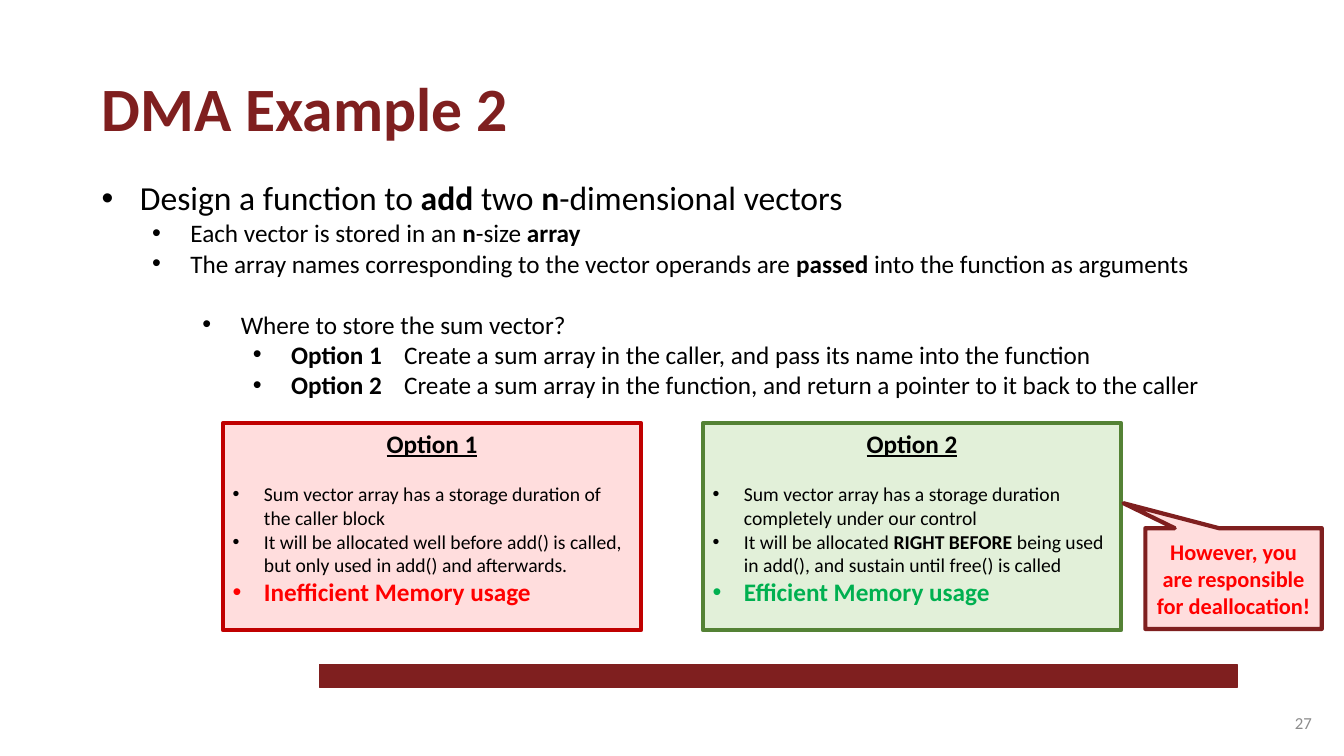
from lxml.etree import SubElement
from pptx import Presentation
from pptx.dml.color import RGBColor
from pptx.enum.shapes import MSO_SHAPE
from pptx.enum.text import MSO_ANCHOR, PP_ALIGN
from pptx.oxml.ns import qn
from pptx.util import Inches, Pt

MAROON, PINK, RED, BLACK = "7F1F1F", "FFDDDD", "FF0000", "000000"
OPTION_WIDTH, OPTION_GAP = 4.15, 0.61


def color(value):
    return RGBColor.from_string(value)


def add_text(para, text, size, ink=BLACK, bold=False, underline=False):
    """Write text into a paragraph; parts between ** marks are bold."""
    para.line_spacing = 1.0
    for index, part in enumerate(text.split("**")):
        if part:
            span = para.add_run()
            span.text = part
            span.font.name = "Calibri"
            span.font.size = Pt(size)
            span.font.bold = bold or index % 2 == 1
            span.font.underline = underline
            span.font.color.rgb = color(ink)


def add_bullet(para, margin, hang):
    properties = para._p.get_or_add_pPr()
    properties.set("marL", str(Inches(margin)))
    properties.set("indent", str(-Inches(hang)))
    SubElement(properties, qn("a:buFont")).set("typeface", "Arial")
    SubElement(properties, qn("a:buChar")).set("char", "•")


def add_box(page, box, anchor=MSO_ANCHOR.TOP):
    frame = page.shapes.add_textbox(*map(Inches, box)).text_frame
    frame.word_wrap = True
    frame.vertical_anchor = anchor
    return frame


def add_panel(page, kind, box, fill, line, width, anchor=MSO_ANCHOR.TOP):
    panel = page.shapes.add_shape(kind, *map(Inches, box))
    panel.shadow.inherit = False
    panel.fill.solid()
    panel.fill.fore_color.rgb = color(fill)
    panel.line.color.rgb = color(line)
    panel.line.width = Pt(width)
    panel.text_frame.word_wrap = True
    panel.text_frame.vertical_anchor = anchor
    return panel


def add_title(page, box, text):
    add_text(add_box(page, box).paragraphs[0], text, 44, MAROON, bold=True)


def add_outline(page, box, items):
    """Bulleted outline; each item is level, space before and text."""
    frame = add_box(page, box)
    for index, (level, space, text) in enumerate(items):
        para = frame.paragraphs[0] if index == 0 else frame.add_paragraph()
        para.level = level
        add_bullet(para, 0.38 + 0.5 * level, 0.38)
        if space:
            para.space_before = Pt(space)
        add_text(para, text, 18 if level else 24)


def add_option(page, box, heading, points, verdict, fill, line, verdict_ink):
    frame = add_panel(page, MSO_SHAPE.RECTANGLE, box, fill, line, 3).text_frame
    frame.paragraphs[0].alignment = PP_ALIGN.CENTER
    add_text(frame.paragraphs[0], heading, 18, bold=True, underline=True)
    for index, point in enumerate(points + [verdict]):
        para = frame.add_paragraph()
        para.alignment = PP_ALIGN.LEFT
        add_bullet(para, 0.31, 0.31)
        if index == 0:
            para.space_before = Pt(17)
        if point == verdict:
            add_text(para, point, 18, verdict_ink, bold=True)
        else:
            add_text(para, point, 14)


def add_callout(page, box, text):
    callout = add_panel(page, MSO_SHAPE.RECTANGULAR_CALLOUT, box, PINK, MAROON, 3,
                        MSO_ANCHOR.MIDDLE)
    callout.adjustments[0] = -0.624
    callout.adjustments[1] = -0.748
    para = callout.text_frame.paragraphs[0]
    para.alignment = PP_ALIGN.CENTER
    add_text(para, text, 16, RED, bold=True)


def add_footer(page, bar_box, number_box, number):
    add_panel(page, MSO_SHAPE.RECTANGLE, bar_box, MAROON, MAROON, 1)
    para = add_box(page, number_box, MSO_ANCHOR.MIDDLE).paragraphs[0]
    para.alignment = PP_ALIGN.RIGHT
    add_text(para, number, 12, "8C8C8C")


def main():
    deck = Presentation()
    deck.slide_width, deck.slide_height = Inches(13.33), Inches(7.5)
    page = deck.slides.add_slide(deck.slide_layouts[6])

    # Heading and outline
    add_title(page, (0.91, 0.64, 10.9, 0.84), "DMA Example 2")
    add_outline(page, (0.91, 1.71, 11.12, 2.63), [
        (0, 0, "Design a function to **add** two **n**-dimensional vectors"),
        (1, 0, "Each vector is stored in an **n**-size **array**"),
        (1, 0, "The array names corresponding to the vector operands are "
               "**passed** into the function as arguments"),
        (2, 22, "Where to store the sum vector?"),
        (3, 0, "**Option 1**\tCreate a sum array in the caller, "
               "and pass its name into the function"),
        (3, 0, "**Option 2**\tCreate a sum array in the function, "
               "and return a pointer to it back to the caller"),
    ])

    # Options side by side
    options = [
        ("Option 1",
         ["Sum vector array has a storage duration of the caller block",
          "It will be allocated well before add() is called, "
          "but only used in add() and afterwards."],
         "Inefficient Memory usage", PINK, "C00000", RED),
        ("Option 2",
         ["Sum vector array has a storage duration completely under our control",
          "It will be allocated **RIGHT BEFORE** being used in add(), "
          "and sustain until free() is called"],
         "Efficient Memory usage", "E2F0D9", "548235", "00B050"),
    ]
    for column, option in enumerate(options):
        left = 2.21 + column * (OPTION_WIDTH + OPTION_GAP)
        add_option(page, (left, 4.2, OPTION_WIDTH, 2.05), *option)
    add_callout(page, (11.36, 5.24, 1.75, 1),
                "However, you are responsible for deallocation!")

    # Footer bar and page number
    add_footer(page, (3.17, 6.59, 9.1, 0.23), (10.11, 6.97, 3, 0.4), "27")
    deck.save("out.pptx")


if __name__ == "__main__":
    main()
